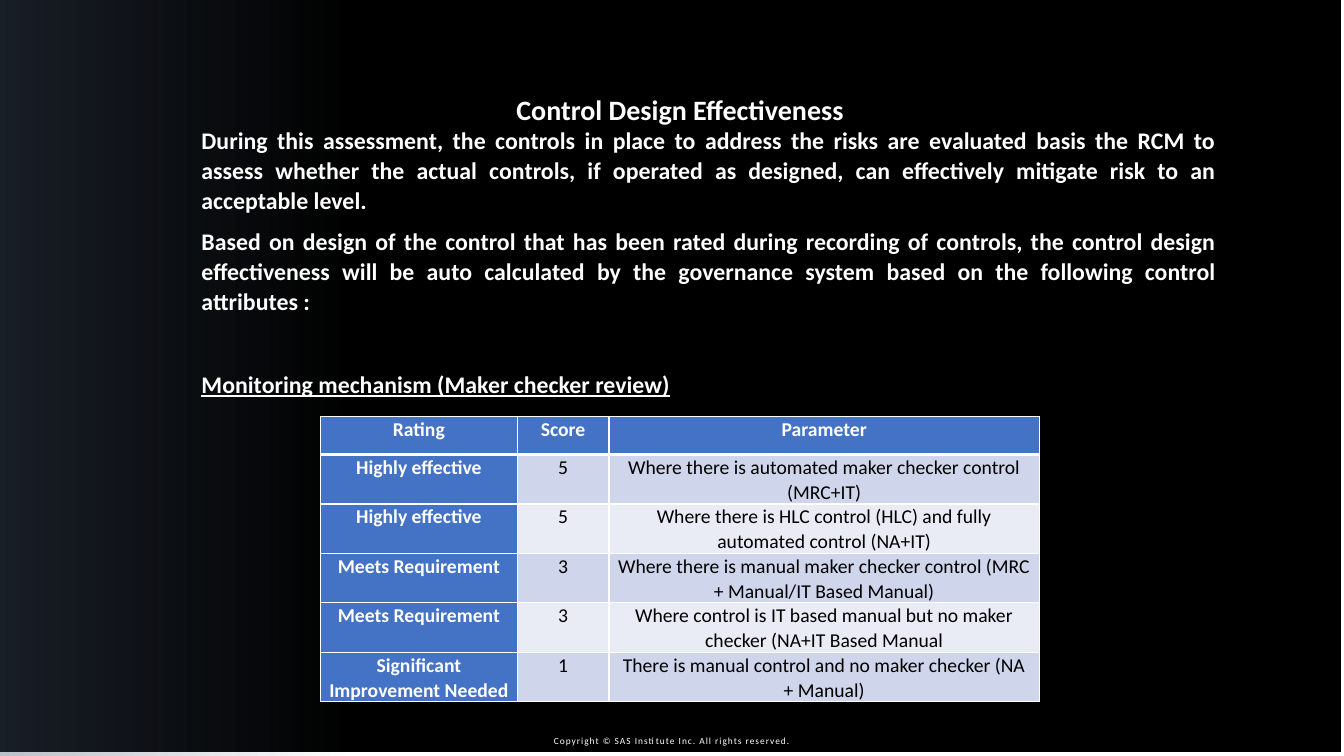
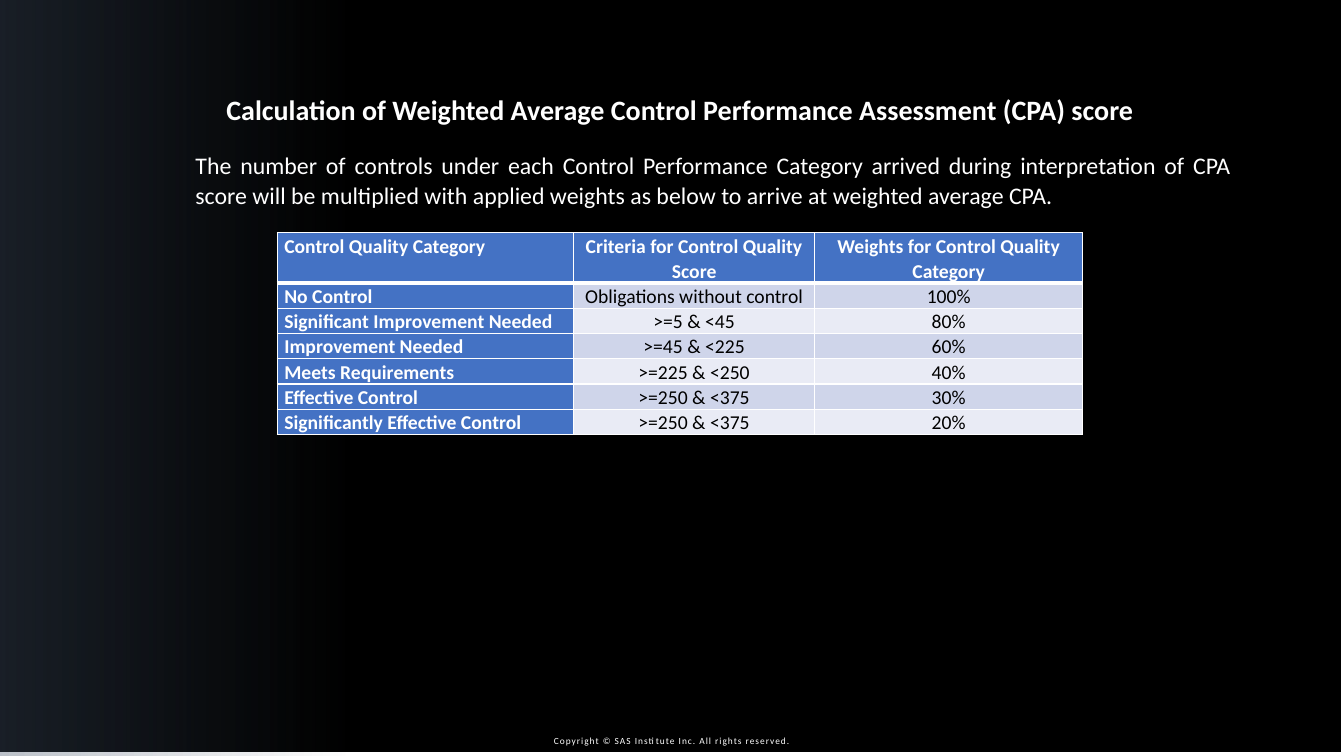
from dataclasses import dataclass

from lxml.etree import SubElement
from pptx import Presentation
from pptx.dml.color import RGBColor
from pptx.enum.shapes import MSO_SHAPE
from pptx.enum.text import MSO_ANCHOR, PP_ALIGN
from pptx.oxml.ns import qn
from pptx.util import Inches, Pt


@dataclass(frozen=True)
class Theme:
    font: str = "Calibri"
    black: str = "000000"
    white: str = "FFFFFF"
    slate: str = "44546A"
    head: str = "4472C4"
    bands: tuple = ("CFD5EA", "E9EBF5")
    title: float = 20
    body: float = 17
    cell: float = 14
    foot: float = 6.7


THEME = Theme()
LEFT, CENTER, JUSTIFY = PP_ALIGN.LEFT, PP_ALIGN.CENTER, PP_ALIGN.JUSTIFY
FOOTER = "Copyright © SAS Institute Inc. All rights reserved."

SLIDES = [
    {
        "title": "Control Design Effectiveness",
        "body": {
            "box": (1.9, 1.18, 10.26, 2.85),
            "bold": True,
            "after": 8,
            "texts": [
                "During this assessment, the controls in place to address the risks are "
                "evaluated basis the RCM to assess whether the actual controls, if operated "
                "as designed, can effectively mitigate risk to an acceptable level.",
                "Based on design of the control that has been rated during recording of "
                "controls, the control design effectiveness will be auto calculated by the "
                "governance system based on the following control attributes :",
            ],
            "heading": "Monitoring mechanism (Maker checker review)",
        },
        "table": {
            "at": (3.18, 4.13),
            "cols": (1.95, 0.91, 4.27),
            "heights": (0.38, 0.49),
            "aligns": (CENTER, CENTER, CENTER),
            "spacing": 1.05,
            "rows": [
                ("Rating", "Score", "Parameter"),
                ("Highly effective", "5",
                 "Where there is automated maker checker control (MRC+IT)"),
                ("Highly effective", "5",
                 "Where there is HLC control (HLC) and fully automated control (NA+IT)"),
                ("Meets Requirement", "3",
                 "Where there is manual maker checker control (MRC + Manual/IT Based Manual)"),
                ("Meets Requirement", "3",
                 "Where control is IT based manual but no maker checker (NA+IT Based Manual"),
                ("Significant Improvement Needed", "1",
                 "There is manual control and no maker checker (NA + Manual)"),
            ],
        },
    },
    {
        "title": "Calculation of Weighted Average Control Performance Assessment (CPA) score",
        "body": {
            "box": (1.84, 1.43, 10.47, 0.69),
            "bold": False,
            "after": 6,
            "texts": [
                "The number of controls under each Control Performance Category arrived "
                "during interpretation of CPA score will be multiplied with applied weights "
                "as below to arrive at weighted average CPA.",
            ],
        },
        "table": {
            "at": (2.75, 2.31),
            "cols": (2.94, 2.39, 2.66),
            "heights": (0.5, 0.25),
            "aligns": (LEFT, CENTER, CENTER),
            "spacing": 1.07,
            "rows": [
                ("Control Quality Category", "Criteria for Control Quality Score",
                 "Weights for Control Quality Category"),
                ("No Control", "Obligations without control", "100%"),
                ("Significant Improvement Needed", ">=5 & <45", "80%"),
                ("Improvement Needed", ">=45 & <225", "60%"),
                ("Meets Requirements", ">=225 & <250", "40%"),
                ("Effective Control", ">=250 & <375", "30%"),
                ("Significantly Effective Control", ">=250 & <375", "20%"),
            ],
        },
    },
]


def color(code):
    return RGBColor.from_string(code)


def style(para, size, tint=THEME.white, bold=False, align=CENTER):
    para.alignment = align
    font = para.font
    font.name, font.size, font.bold = THEME.font, Pt(size), bold
    font.color.rgb = color(tint)


def add_box(slide, box, texts):
    frame = slide.shapes.add_textbox(*map(Inches, box)).text_frame
    frame.word_wrap = True
    frame.text = "\n".join(texts)
    return frame


def add_panel(slide, *box):
    panel = slide.shapes.add_shape(MSO_SHAPE.RECTANGLE, *map(Inches, box))
    panel.shadow.inherit = False
    panel.line.fill.background()
    return panel


def add_base(slide):
    """Draw the dark ground, the fading left band and the footer."""
    ground = add_panel(slide, 0, -0.01, 13.3, 7.47)
    ground.fill.solid()
    ground.fill.fore_color.rgb = color(THEME.black)

    band = add_panel(slide, 0, 0, 3.51, 7.51)
    band.fill.gradient()
    band.fill.gradient_angle = 180
    for stop, spot in zip(band.fill.gradient_stops, (0.02, 1)):
        stop.position = spot
        stop.color.rgb = color(THEME.slate)
    tints = band.element.spPr.iter(qn("a:srgbClr"))
    for tint, alpha in zip(tints, (0, 36)):
        SubElement(tint, qn("a:alpha")).set("val", str(alpha * 1000))

    frame = add_box(slide, (4.83, 7.24, 3.67, 0.21), [FOOTER])
    frame.vertical_anchor = MSO_ANCHOR.BOTTOM
    para = frame.paragraphs[0]
    style(para, THEME.foot)
    para.runs[0]._r.get_or_add_rPr().set("spc", "70")


def add_body(slide, body):
    heading = body.get("heading")
    frame = add_box(slide, body["box"], body["texts"] + ([heading] if heading else []))
    for para in frame.paragraphs:
        style(para, THEME.body, bold=body["bold"], align=JUSTIFY)
        para.line_spacing = 1.05
        para.space_after = Pt(body["after"])
    if heading:
        para.space_before = Pt(30)
        para.font.underline = True


def add_edges(cell, top, bottom):
    """Give a cell white borders; widths are in points."""
    props = cell._tc.get_or_add_tcPr()
    for side, width in zip("LRTB", (1, 1, top, bottom)):
        line = SubElement(props, qn(f"a:ln{side}"), w=str(Pt(width)))
        fill = SubElement(line, qn("a:solidFill"))
        SubElement(fill, qn("a:srgbClr"), val=THEME.white)


def add_grid(slide, data):
    rows, cols = data["rows"], data["cols"]
    first, other = data["heights"]
    heights = [first] + [other] * (len(rows) - 1)
    size = (sum(cols), sum(heights))
    table = slide.shapes.add_table(
        len(rows), len(cols), *map(Inches, data["at"] + size)).table
    table.first_row = table.horz_banding = False
    for col, width in zip(table.columns, cols):
        col.width = Inches(width)
    for i, (row, height) in enumerate(zip(rows, heights)):
        table.rows[i].height = Inches(height)
        for j, text in enumerate(row):
            cell = table.cell(i, j)
            label = i == 0 or j == 0
            cell.margin_left = cell.margin_right = Inches(0.07)
            cell.margin_top = cell.margin_bottom = 0
            add_edges(cell, 3 if i == 1 else 1, 3 if i == 0 else 1)
            cell.fill.solid()
            cell.fill.fore_color.rgb = color(
                THEME.head if label else THEME.bands[(i - 1) % 2])
            cell.text = text
            para = cell.text_frame.paragraphs[0]
            style(para, THEME.cell, THEME.white if label else THEME.black,
                  label, data["aligns"][j])
            para.line_spacing = data["spacing"]


def main():
    deck = Presentation()
    deck.slide_width, deck.slide_height = Inches(13.33), Inches(7.5)
    for page in SLIDES:
        slide = deck.slides.add_slide(deck.slide_layouts[6])
        add_base(slide)
        add_body(slide, page["body"])
        title = add_box(slide, (0.61, 0.87, 12.27, 0.44), [page["title"]])
        style(title.paragraphs[0], THEME.title, bold=True)
        add_grid(slide, page["table"])
    deck.save("out.pptx")


if __name__ == "__main__":
    main()
